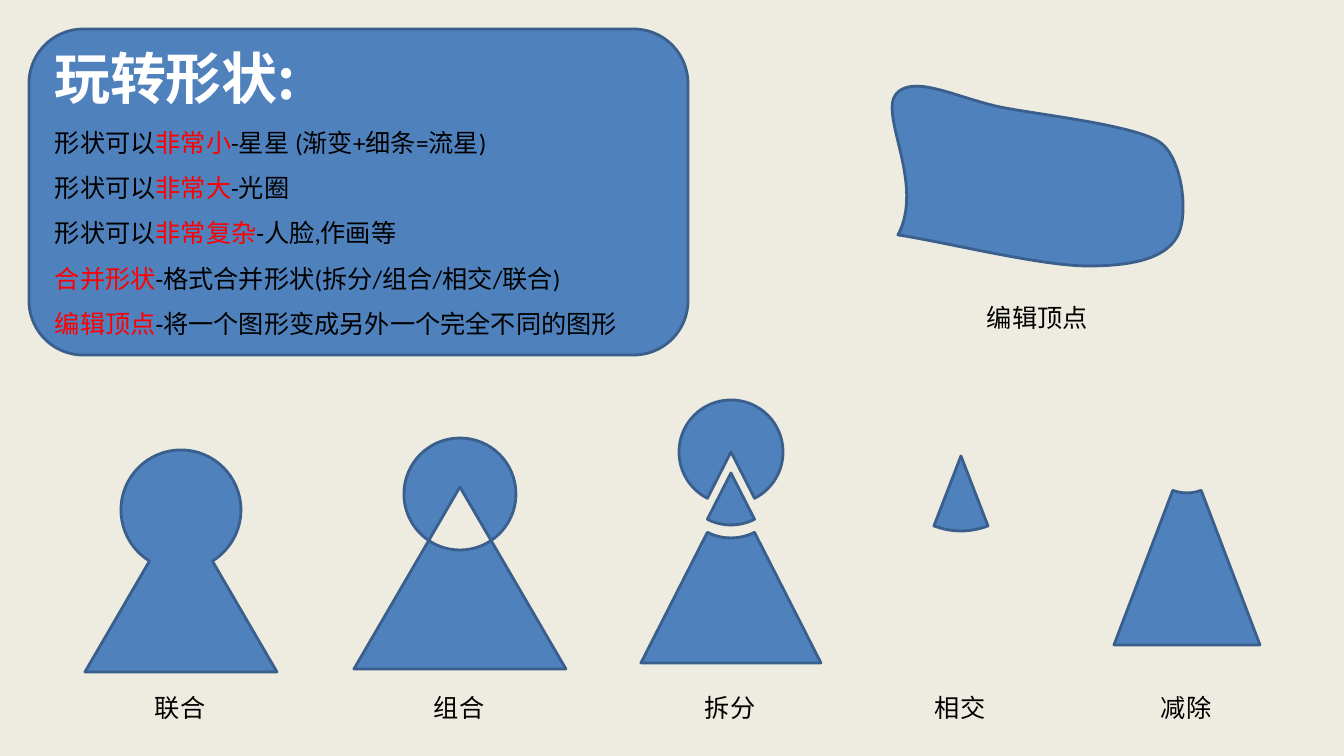
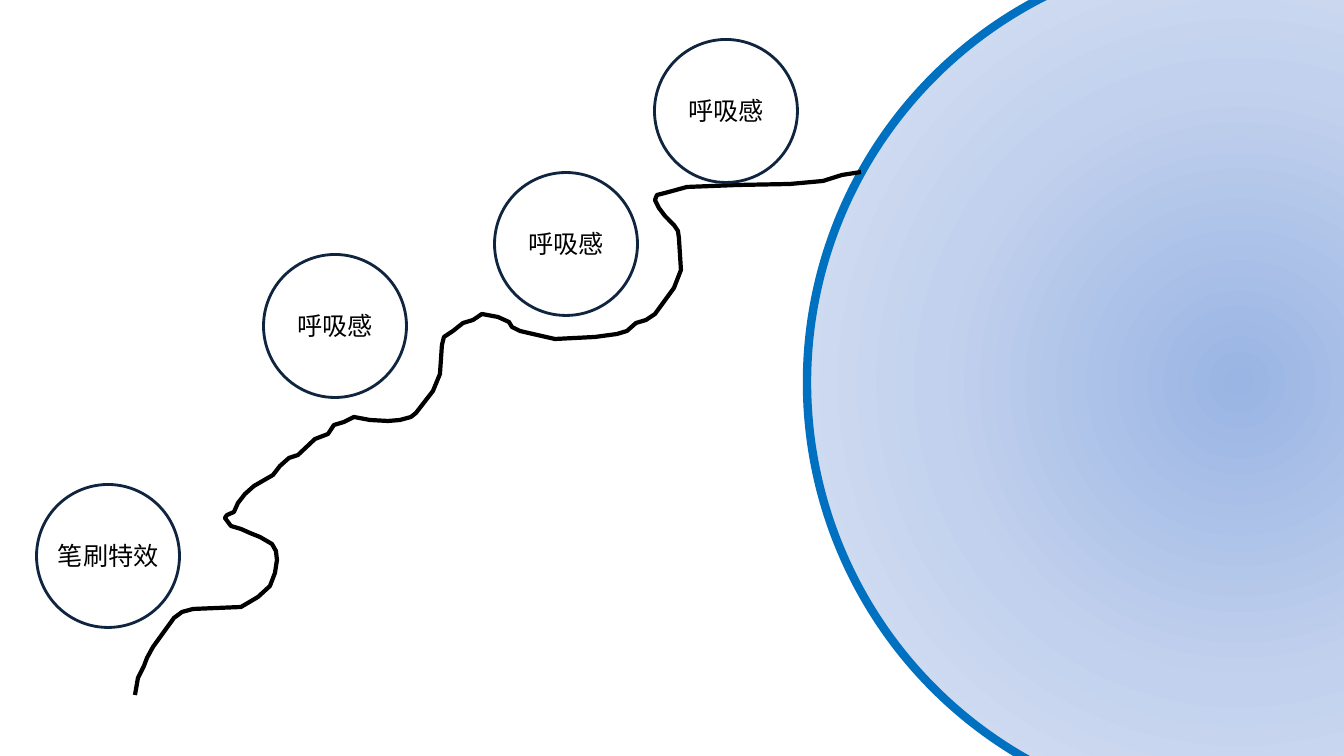
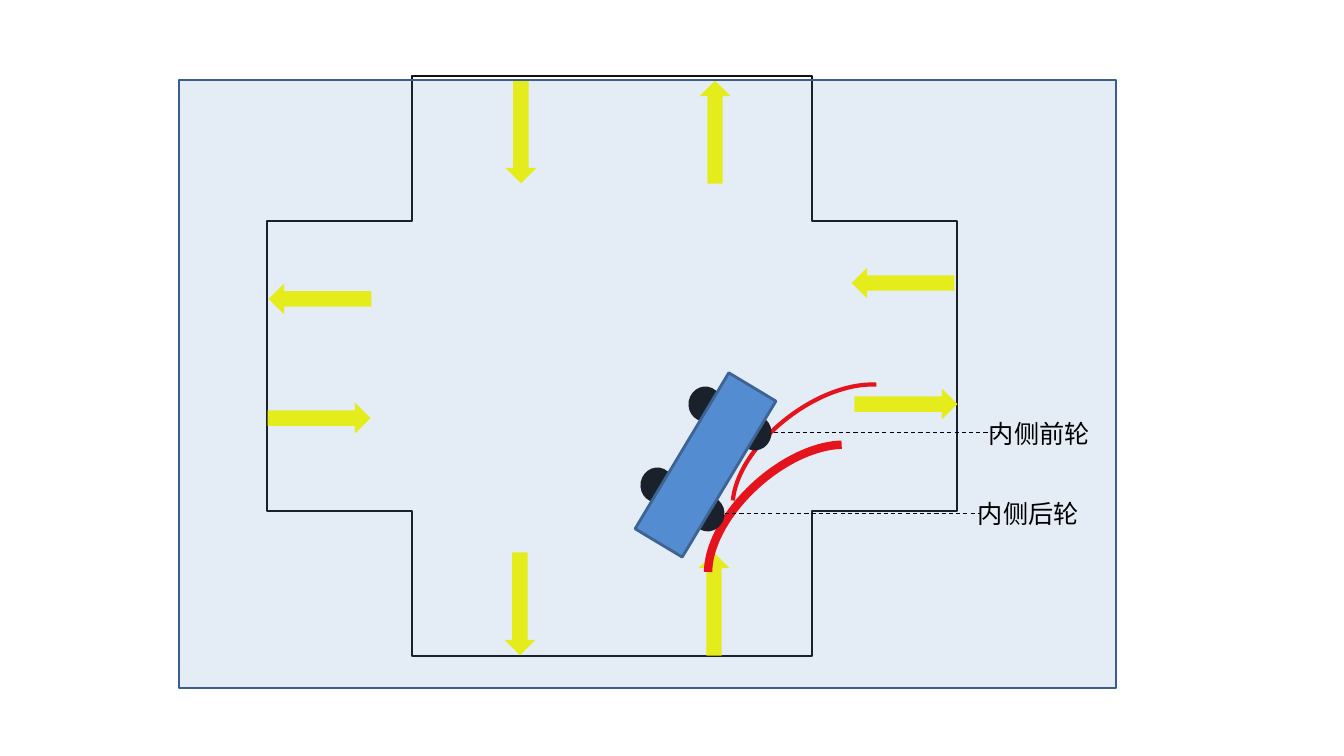
import dataclasses
import itertools
import math

import lxml.etree
import pptx
import pptx.dml.color
import pptx.enum.dml
import pptx.enum.shapes
import pptx.enum.text
import pptx.oxml
import pptx.oxml.ns
import pptx.util

SHAPE = pptx.enum.shapes.MSO_SHAPE
ANCHOR = pptx.enum.text.MSO_ANCHOR
qn = pptx.oxml.ns.qn


@dataclasses.dataclass(frozen=True)
class Theme:
    paper: str = "EEECE1"
    white: str = "FFFFFF"
    blue: str = "4F81BD"
    edge: str = "3A5F8C"
    ink: str = "000000"
    red: str = "FF0000"
    navy: str = "0F243E"
    ring: str = "0070C0"
    road: str = "111111"
    yellow: str = "FFFF00"
    car: str = "558ED5"
    glow: tuple = ((0, "9AB5E4"), (50, "C2D1ED"), (100, "E1E8F5"))
    title_font: str = "Noto Sans CJK SC"
    body_font: str = "Calibri"
    title_size: int = 40
    body_size: int = 18
    hairline: float = 0.75
    outline: int = 2
    stroke: int = 3
    heavy: int = 6


theme = Theme()
TITLE_STYLE = {"name": theme.title_font, "size": pptx.util.Pt(theme.title_size), "bold": True}
BODY_STYLE = {"name": theme.body_font, "size": pptx.util.Pt(theme.body_size), "bold": False}

# ---- Content: slide 1, lengths in pixels ----
HEADLINE = "玩转形状:"
TIPS = [  # (text, is highlighted)
    [("形状可以", False), ("非常小", True), ("-星星 (渐变+细条=流星)", False)],
    [("形状可以", False), ("非常大", True), ("-光圈", False)],
    [("形状可以", False), ("非常复杂", True), ("-人脸,作画等", False)],
    [("合并形状", True), ("-格式合并形状(拆分/组合/相交/联合)", False)],
    [("编辑顶点", True), ("-将一个图形变成另外一个完全不同的图形", False)],
]
CARD = (29, 29, 659, 326)
HEADLINE_BOX = (44, 32, 600, 91)
TIPS_TOP_INSET = 67
CAPTION_Y = 707
# caption, apex x, apex y, half base, base y, circle centre y, radius,
# shapes: each the names of its contours and a shift down
MERGES = [
    ("联合", 181, 507, 96, 672, 510, 60, [(["union"], 0)]),
    ("组合", 460, 487, 106, 669, 494, 56, [(["skirt", "head"], 0)]),
    ("拆分", 731, 452, 90, 629, 452, 52, [(["wedge"], 21), (["head"], 0), (["skirt"], 34)]),
    ("相交", 961, 456, 73, 645, 456, 75, [(["wedge"], 0)]),
    ("减除", 1187, 453, 73, 645, 453, 40, [(["skirt"], 0)]),
]
EDITED_CAPTION = ("编辑顶点", 1038, 317)
EDITED = [  # a start point, then two handles and an end point each
    (896, 94),
    ((914, 73), (961, 100), (1005, 108)),
    ((1049, 116), (1138, 126), (1161, 143)),
    ((1183, 160), (1189, 217), (1177, 237)),
    ((1165, 258), (1134, 266), (1088, 266)),
    ((1040, 266), (940, 241), (898, 235)),
    ((925, 184), (879, 115), (896, 94)),
]

# ---- Content: slide 2 ----
BUBBLE = 143
BUBBLES = [("呼吸感", 335, 326), ("笔刷特效", 108, 556), ("呼吸感", 566, 244), ("呼吸感", 726, 111)]
HALO = (807, -50, 865, 865)
BRUSH = [
    (135, 695), (138, 678), (144, 666), (147, 658), (153, 647), (166, 629), (174, 618),
    (182, 612), (193, 609), (241, 607), (258, 597), (270, 586), (275, 573), (277, 560),
    (276, 551), (272, 544), (260, 537), (250, 533), (241, 529), (231, 526), (225, 518),
    (227, 515), (234, 512), (238, 503), (245, 494), (254, 486), (273, 475), (280, 466),
    (289, 458), (298, 455), (315, 439), (328, 434), (334, 425), (344, 422), (354, 417),
    (370, 420), (388, 421), (400, 420), (411, 417), (416, 413), (433, 391), (440, 374),
    (442, 345), (444, 337), (453, 331), (463, 323), (473, 320), (482, 314), (498, 317),
    (509, 322), (512, 327), (520, 331), (533, 334), (555, 339), (595, 337), (617, 334),
    (627, 331), (636, 323), (646, 320), (655, 314), (674, 288), (681, 270), (679, 238),
    (678, 231), (674, 225), (665, 216), (659, 208), (655, 200), (657, 195), (665, 193),
    (687, 187), (738, 185), (790, 184), (823, 181), (842, 175), (861, 172),
]

# ---- Content: slide 3 ----
CROSSROADS = (267, 76, 690, 580)
ARROW_SIZE = (31, 103)
LANES = [  # centre x, centre y, rotation
    (521, 132, 0), (520, 604, 0), (715, 132, 180), (714, 604, 180),
    (320, 299, 90), (903, 283, 90), (319, 418, 270), (906, 404, 270),
]
ARC_ADJUSTMENTS = (171.7, 41.67)
TRACKS = [((765, 358, 121, 214), 232.9, theme.stroke), ((737, 422, 121, 214), 228.2, theme.heavy)]
WHEEL_SIZE = (33, 35)
WHEEL_TURN = 10.1
WHEELS = [(755, 433), (708, 514), (705, 404), (657, 485)]
CAR = (678, 374, 55, 182)
CAR_TURN = 31
GLASS = (179, 80, 937, 608)
GLASS_OPACITY = 15
CALLOUTS = [  # text, centre x, centre y, leader start x, end x, leader y
    ("内侧前轮", 1040, 433, 774, 998, 433),
    ("内侧后轮", 1029, 513, 725, 980, 514),
]

# ---- Helpers ----
PX = 914400 / 100.8


def emu(pixels):
    return pptx.util.Emu(round(pixels * PX))


def rgb(code):
    return pptx.dml.color.RGBColor.from_string(code)


def centred(x, y, width, height):
    return x - width / 2, y - height / 2, width, height


def paint(shape, fill=None, line=None, width=theme.outline):
    shape.shadow.inherit = False
    if fill:
        shape.fill.solid()
        shape.fill.fore_color.rgb = rgb(fill)
    else:
        shape.fill.background()
    if line:
        shape.line.color.rgb = rgb(line)
        shape.line.width = pptx.util.Pt(width)
    else:
        shape.line.fill.background()
    return shape


def preset(slide, kind, box, turn=0, **colours):
    shape = slide.shapes.add_shape(kind, *map(emu, box))
    shape.rotation = turn
    return paint(shape, **colours)


def is_curve(knot):
    return len(knot) == 3


def outline(slide, contours, close=True, down=0, **colours):
    """Draw contours of knots: a point, or a curve as (handle, handle, end)."""
    def place(point):
        return emu(point[0]), emu(point[1] + down)

    builder = None
    for contour in contours:
        start, *ends = [place(knot[2] if is_curve(knot) else knot) for knot in contour]
        if builder:
            builder.move_to(*start)
        else:
            builder = slide.shapes.build_freeform(*start, scale=1.0)
        builder.add_line_segments(ends, close=close)
    shape = builder.convert_to_shape()

    # Bend the straight segments that have handles
    knots = itertools.chain.from_iterable(contour[1:] for contour in contours)
    for segment, knot in zip(list(shape._element.iter(qn("a:lnTo"))), knots):
        if is_curve(knot):
            bend = lxml.etree.SubElement(segment.getparent(), qn("a:cubicBezTo"))
            for x, y in map(place, knot):
                lxml.etree.SubElement(bend, qn("a:pt"), x=str(x - shape.left),
                                      y=str(y - shape.top))
            segment.getparent().replace(segment, bend)
    return paint(shape, **colours)


def write(paragraph, text, style, colour):
    run = paragraph.add_run()
    run.text = text
    for name, value in style.items():
        setattr(run.font, name, value)
    run.font.color.rgb = rgb(colour)
    properties = run.font._element
    properties.set("lang", "zh-CN")
    lxml.etree.SubElement(properties, qn("a:ea")).set("typeface", style["name"])


def label(slide, text, x, y):
    box = centred(x, y, 25 * len(text) + 22, 40)
    frame = slide.shapes.add_textbox(*map(emu, box)).text_frame
    frame.word_wrap = False
    frame.auto_size = pptx.enum.text.MSO_AUTO_SIZE.SHAPE_TO_FIT_TEXT
    write(frame.paragraphs[0], text, BODY_STYLE, theme.ink)


def sweep(x, y, radius, *angles):
    """Knots of an arc through the given angles, measured from straight down."""
    def at(angle, pull=0):
        return (x + radius * (math.sin(angle) + pull * math.cos(angle)),
                y + radius * (math.cos(angle) - pull * math.sin(angle)))

    knots = [at(angles[0])]
    for start, end in zip(angles, angles[1:]):
        pull = 4 / 3 * math.tan((end - start) / 4)
        knots.append((at(start, pull), at(end, -pull), at(end)))
    return knots


def merge_contours(x, apex_y, half, base_y, circle_y, radius):
    """Outlines made by a circle and a triangle that share an axis."""
    slope = half / (base_y - apex_y)
    drop = apex_y - circle_y
    square = 1 + slope ** 2
    reach = (math.sqrt(drop ** 2 - square * (drop ** 2 - radius ** 2)) - drop) / square
    angle = math.atan2(slope * reach, reach + drop)
    quarter = math.pi / 2
    lower = sweep(x, circle_y, radius, -angle, 0, angle)
    upper = sweep(x, circle_y, radius, angle, quarter, 2 * quarter, 3 * quarter,
                  4 * quarter - angle)
    apex, left, right = (x, apex_y), (x - half, base_y), (x + half, base_y)
    return {
        "union": upper + [left, right],
        "head": upper + [apex],
        "wedge": lower + [apex],
        "skirt": lower + [right, left],
    }


def glow(shape, stops):
    shape.fill.background()
    namespace = pptx.oxml.ns.nsdecls("a")
    marks = "".join(f'<a:gs pos="{at * 1000}"><a:srgbClr val="{code}"/></a:gs>'
                    for at, code in stops)
    gradient = pptx.oxml.parse_xml(
        f'<a:gradFill {namespace} rotWithShape="1"><a:gsLst>{marks}</a:gsLst>'
        '<a:path path="circle"><a:fillToRect l="50000" t="50000" r="50000" b="50000"/>'
        '</a:path></a:gradFill>')
    properties = shape._element.spPr
    properties.replace(properties.find(qn("a:noFill")), gradient)


def leader(slide, start, end, y):
    line = slide.shapes.add_connector(pptx.enum.shapes.MSO_CONNECTOR.STRAIGHT,
                                      emu(start), emu(y), emu(end), emu(y))
    line.line.color.rgb = rgb(theme.ink)
    line.line.width = pptx.util.Pt(theme.hairline)
    line.line.dash_style = pptx.enum.dml.MSO_LINE.DASH
    lxml.etree.SubElement(line._element.spPr, qn("a:effectLst"))


def new_slide(deck, layout, background):
    slide = deck.slides.add_slide(deck.slide_layouts[layout])
    slide.background.fill.solid()
    slide.background.fill.fore_color.rgb = rgb(background)
    return slide


TITLE_ONLY, BLANK = 5, 6
deck = pptx.Presentation()
deck.slide_width, deck.slide_height = emu(1344), emu(756)

# ---- Slide 1: merging and editing shapes ----
merging = new_slide(deck, TITLE_ONLY, theme.paper)
BLUE = {"fill": theme.blue, "line": theme.edge}
card = preset(merging, SHAPE.ROUNDED_RECTANGLE, CARD, **BLUE)
tips = card.text_frame
tips.word_wrap = True
tips.vertical_anchor = ANCHOR.TOP
tips.margin_top, tips.margin_bottom = emu(TIPS_TOP_INSET), 0
for number, runs in enumerate(TIPS):
    tip = tips.add_paragraph() if number else tips.paragraphs[0]
    tip.alignment = pptx.enum.text.PP_ALIGN.LEFT
    tip.line_spacing = 1.5
    for text, highlighted in runs:
        write(tip, text, BODY_STYLE, theme.red if highlighted else theme.ink)

# The headline sits in front of the card
headline = merging.shapes.title
headline.left, headline.top, headline.width, headline.height = map(emu, HEADLINE_BOX)
headline.text_frame.vertical_anchor = ANCHOR.MIDDLE
headline.text_frame.auto_size = pptx.enum.text.MSO_AUTO_SIZE.NONE
headline.text_frame.paragraphs[0].alignment = pptx.enum.text.PP_ALIGN.LEFT
write(headline.text_frame.paragraphs[0], HEADLINE, TITLE_STYLE, theme.white)
card._element.addnext(headline._element)

for caption, apex_x, *geometry, pieces in MERGES:
    contours = merge_contours(apex_x, *geometry)
    for names, down in pieces:
        outline(merging, [contours[name] for name in names], down=down, **BLUE)
    label(merging, caption, apex_x, CAPTION_Y)
outline(merging, [EDITED], **BLUE)
label(merging, *EDITED_CAPTION)

# ---- Slide 2: brush line with bubbles ----
brushwork = new_slide(deck, BLANK, theme.white)
halo = preset(brushwork, SHAPE.OVAL, HALO, line=theme.ring, width=theme.heavy)
glow(halo, theme.glow)
outline(brushwork, [BRUSH], close=False, line=theme.ink, width=theme.stroke)
for text, x, y in BUBBLES:
    label(brushwork, text, x + 1, y - 1)
    preset(brushwork, SHAPE.OVAL, centred(x, y, BUBBLE, BUBBLE), line=theme.navy)

# ---- Slide 3: turning at a crossroads ----
turning = new_slide(deck, BLANK, theme.white)
preset(turning, SHAPE.CROSS, CROSSROADS, line=theme.road)
for x, y, turn in LANES:
    preset(turning, SHAPE.DOWN_ARROW, centred(x, y, *ARROW_SIZE), turn, fill=theme.yellow)
for box, turn, width in TRACKS:
    track = preset(turning, SHAPE.ARC, box, turn, line=theme.red, width=width)
    for index, adjustment in enumerate(ARC_ADJUSTMENTS):
        track.adjustments[index] = adjustment
for x, y in WHEELS:
    preset(turning, SHAPE.OVAL, centred(x, y, *WHEEL_SIZE), WHEEL_TURN, fill=theme.road)
preset(turning, SHAPE.RECTANGLE, CAR, CAR_TURN, fill=theme.car, line=theme.edge)
glass = preset(turning, SHAPE.RECTANGLE, GLASS, **BLUE)
tint = glass._element.spPr.find(qn("a:solidFill")).find(qn("a:srgbClr"))
lxml.etree.SubElement(tint, qn("a:alpha")).set("val", str(GLASS_OPACITY * 1000))
for text, x, y, start, end, leader_y in CALLOUTS:
    leader(turning, start, end, leader_y)
    label(turning, text, x, y)

deck.save("out.pptx")
